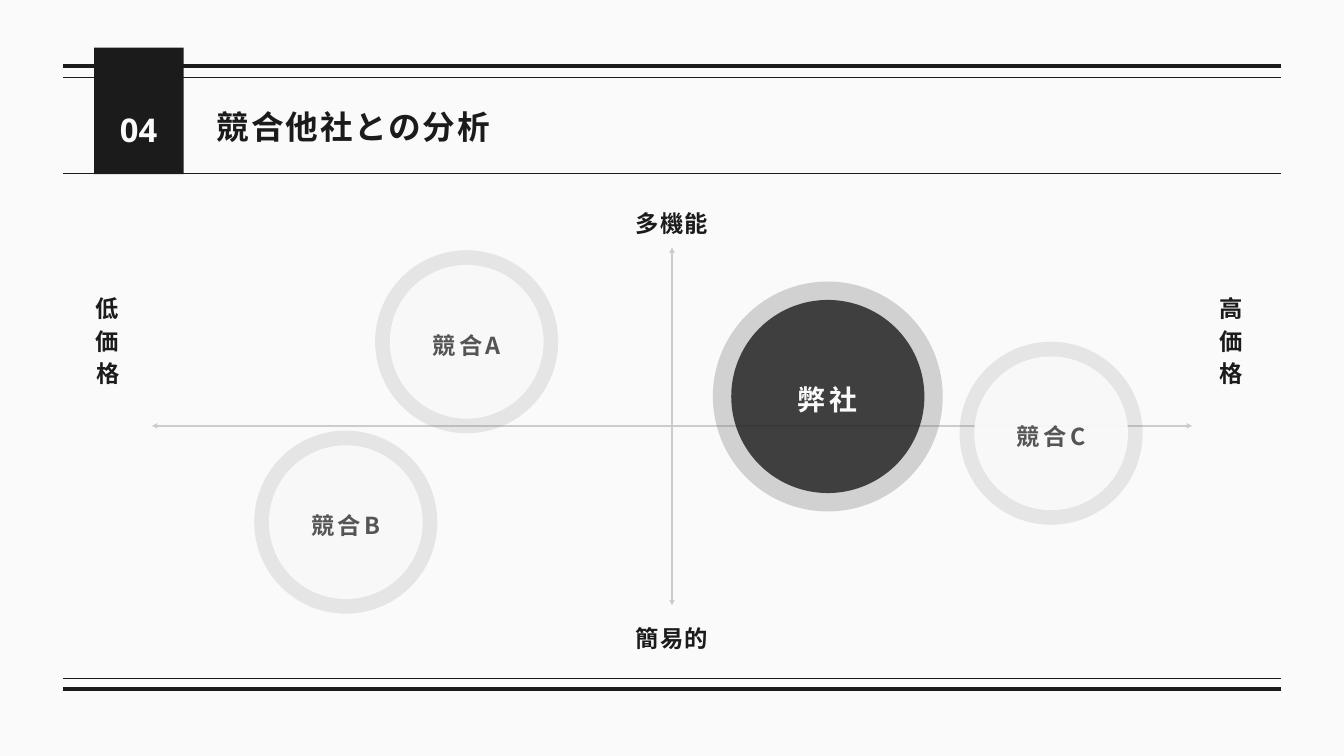
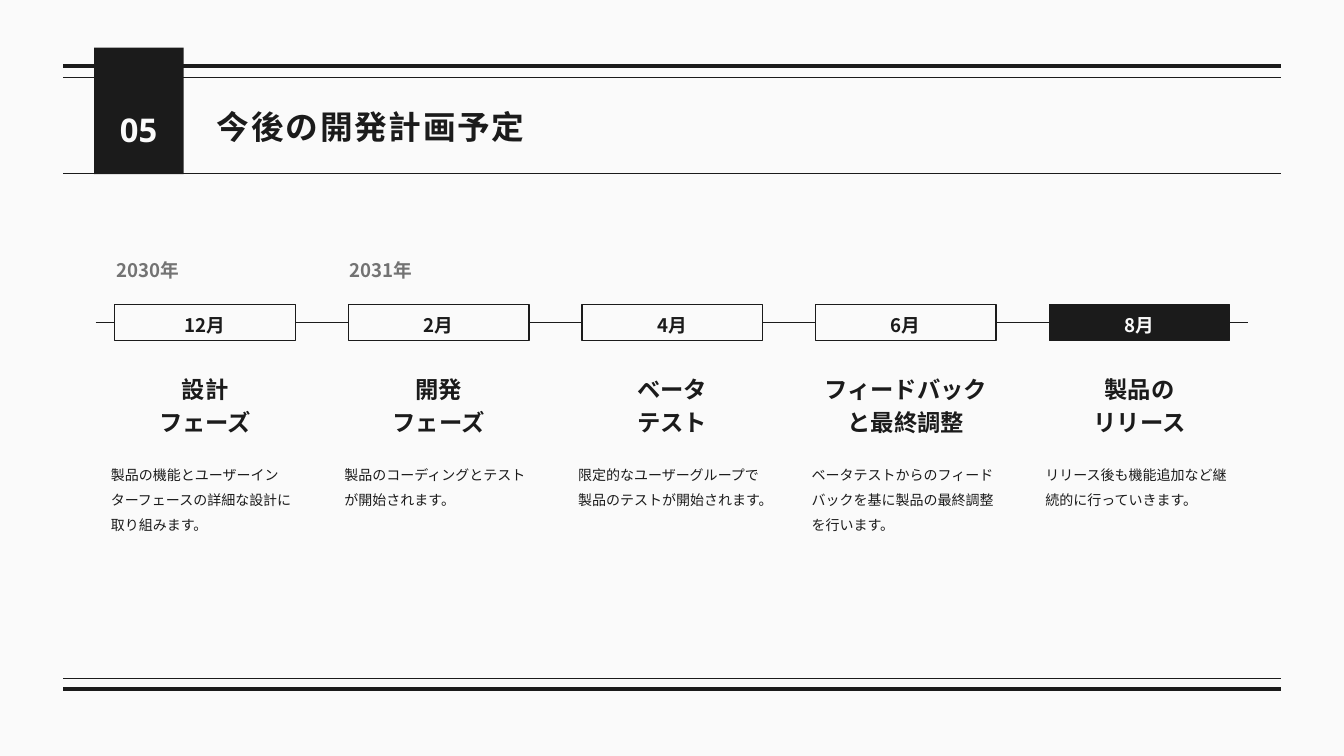
from lxml import etree
from pptx import Presentation
from pptx import util as u
from pptx.dml.color import RGBColor
from pptx.enum import shapes, text
from pptx.oxml import ns

INK = RGBColor(0x1B, 0x1B, 0x1B)
PAPER = RGBColor(0xFA, 0xFA, 0xFA)
RULE = RGBColor(0xCC, 0xCC, 0xCC)
GRAY = RGBColor(0x73, 0x73, 0x73)
DIM = RGBColor(0x55, 0x55, 0x55)
SANS = "Noto Sans CJK JP"
LEFT = text.PP_ALIGN.LEFT
MID = text.PP_ALIGN.CENTER
RECT = shapes.MSO_SHAPE.RECTANGLE
OVAL = shapes.MSO_SHAPE.OVAL


def sub(node, tag, **attrs):
    return etree.SubElement(node, ns.qn(tag), **attrs)


def write(slide, words, x, y, w, h, size=25, color=INK, bold=True,
          font=SANS, align=MID, pitch=35, track=0):
    box = slide.shapes.add_textbox(u.Cm(x), u.Cm(y), u.Cm(w), u.Cm(h))
    frame = box.text_frame
    frame.word_wrap = True
    frame.margin_left = frame.margin_right = 0
    frame.margin_top = frame.margin_bottom = 0
    for i, row in enumerate(words.split("\n")):
        para = frame.paragraphs[0] if i == 0 else frame.add_paragraph()
        para.alignment = align
        para.line_spacing = u.Pt(pitch)
        run = para.add_run()
        run.text = row
        run.font.size = u.Pt(size)
        run.font.bold = bold
        run.font.color.rgb = color
        run.font.name = font
        props = run._r.get_or_add_rPr()
        sub(props, "a:ea", typeface=font)
        if track:
            props.set("spc", str(round(track * 100)))


def line(slide, x1, y1, x2, y2, color=INK, width=1.5, arrows=False):
    link = slide.shapes.add_connector(
        shapes.MSO_CONNECTOR.STRAIGHT, u.Cm(x1), u.Cm(y1), u.Cm(x2), u.Cm(y2))
    link.line.color.rgb = color
    link.line.width = u.Pt(width)
    if arrows:
        stroke = link.line._get_or_add_ln()
        sub(stroke, "a:headEnd", type="triangle")
        sub(stroke, "a:tailEnd", type="triangle")
    sub(link._element.spPr, "a:effectLst")


def block(slide, kind, x, y, w, h, fill, edge=None, alpha=None):
    shape = slide.shapes.add_shape(kind, u.Cm(x), u.Cm(y), u.Cm(w), u.Cm(h))
    shape.shadow.inherit = False
    shape.fill.solid()
    shape.fill.fore_color.rgb = fill
    if alpha:
        tint = shape._element.spPr.find(".//" + ns.qn("a:srgbClr"))
        sub(tint, "a:alpha", val=str(alpha * 1000))
    if edge is None:
        shape.line.fill.background()
    else:
        shape.line.color.rgb = edge
        shape.line.width = u.Pt(1.5)


def page(deck, number, title):
    slide = deck.slides.add_slide(deck.slide_layouts[6])
    slide.background.fill.solid()
    slide.background.fill.fore_color.rgb = PAPER
    for y, width in ((6.55, 1.5), (2.92, 1.5), (2.51, 4.5),
                     (26.06, 4.5), (25.65, 1.5)):
        line(slide, 2.39, y, 48.41, y, width=width)
    block(slide, RECT, 3.56, 1.8, 3.38, 4.78, INK)
    write(slide, title, 8.2, 3.81, 39.75, 1.65, size=35, align=LEFT,
          pitch=49, track=1.8)
    write(slide, number, 4.06, 3.4, 2.36, 2.03, size=35, color=PAPER,
          font="Open Sans", pitch=63)
    return slide


def disc(slide, x, y, size, fill, alpha):
    block(slide, OVAL, x - size / 2, y - size / 2, size, size, fill,
          alpha=alpha)


def rival(slide, name, x, y, own=False):
    size = 8.69 if own else 6.92
    disc(slide, x, y, size, GRAY, 30 if own else 15)
    disc(slide, x, y, size * 0.84, INK if own else PAPER, 80 if own else 95)
    look = (dict(size=30, color=PAPER, pitch=48, track=4.5) if own
            else dict(color=DIM, pitch=40, track=3.7))
    wide = size * 0.77
    write(slide, name, x - wide / 2, y - size * 0.11, wide, size * 0.19,
          **look)


def market(deck):
    slide = page(deck, "04", "競合他社との分析")
    line(slide, 5.74, 16.1, 45.06, 16.1, RULE, arrows=True)
    line(slide, 25.4, 9.35, 25.4, 22.89, RULE, arrows=True)
    for name, y in (("多機能", 7.72), ("簡易的", 23.42)):
        write(slide, name, 20.37, y, 10.06, 1.17, track=1.2)
    for name, x in (("低価格", 3.56), ("高価格", 46.02)):
        write(slide, name, x, 10.95, 1.04, 10.19, track=1.2)
    rival(slide, "競合A", 17.64, 12.92)
    rival(slide, "弊社", 31.29, 14.99, own=True)
    rival(slide, "競合B", 13.07, 19.74)
    rival(slide, "競合C", 39.73, 16.38)


def phase(slide, x, year, month, name, note, last):
    if year:
        write(slide, year, x + 0.05, 9.35, 6.76, 1.17, size=20, color=GRAY,
              align=LEFT, pitch=36)
    block(slide, RECT, x, 11.51, 6.82, 1.37, INK if last else PAPER, edge=INK)
    write(slide, month, x + 0.77, 11.43, 5.26, 1.17, size=20,
          color=PAPER if last else INK, pitch=36)
    write(slide, name, x, 14.02, 6.82, 2.39)
    write(slide, note, x - 0.15, 17.3, 7.14, 2.79, size=15, bold=False,
          align=LEFT, pitch=27)


def plan(deck):
    slide = page(deck, "05", "今後の開発計画予定")
    line(slide, 3.61, 12.19, 47.19, 12.19)
    steps = (
        ("2030年", "12月", "設計\nフェーズ",
         "製品の機能とユーザーインターフェースの詳細な設計に取り組みます。"),
        ("2031年", "2月", "開発\nフェーズ",
         "製品のコーディングとテストが開始されます。"),
        ("", "4月", "ベータ\nテスト",
         "限定的なユーザーグループで製品のテストが開始されます。"),
        ("", "6月", "フィードバックと最終調整",
         "ベータテストからのフィードバックを基に製品の最終調整を行います。"),
        ("", "8月", "製品の\nリリース",
         "リリース後も機能追加など継続的に行っていきます。"),
    )
    for i, step in enumerate(steps):
        phase(slide, 4.34 + 8.83 * i, *step, last=i == len(steps) - 1)


def main():
    deck = Presentation()
    deck.slide_width = u.Cm(50.8)
    deck.slide_height = u.Cm(28.58)
    market(deck)
    plan(deck)
    deck.save("out.pptx")


if __name__ == "__main__":
    main()
